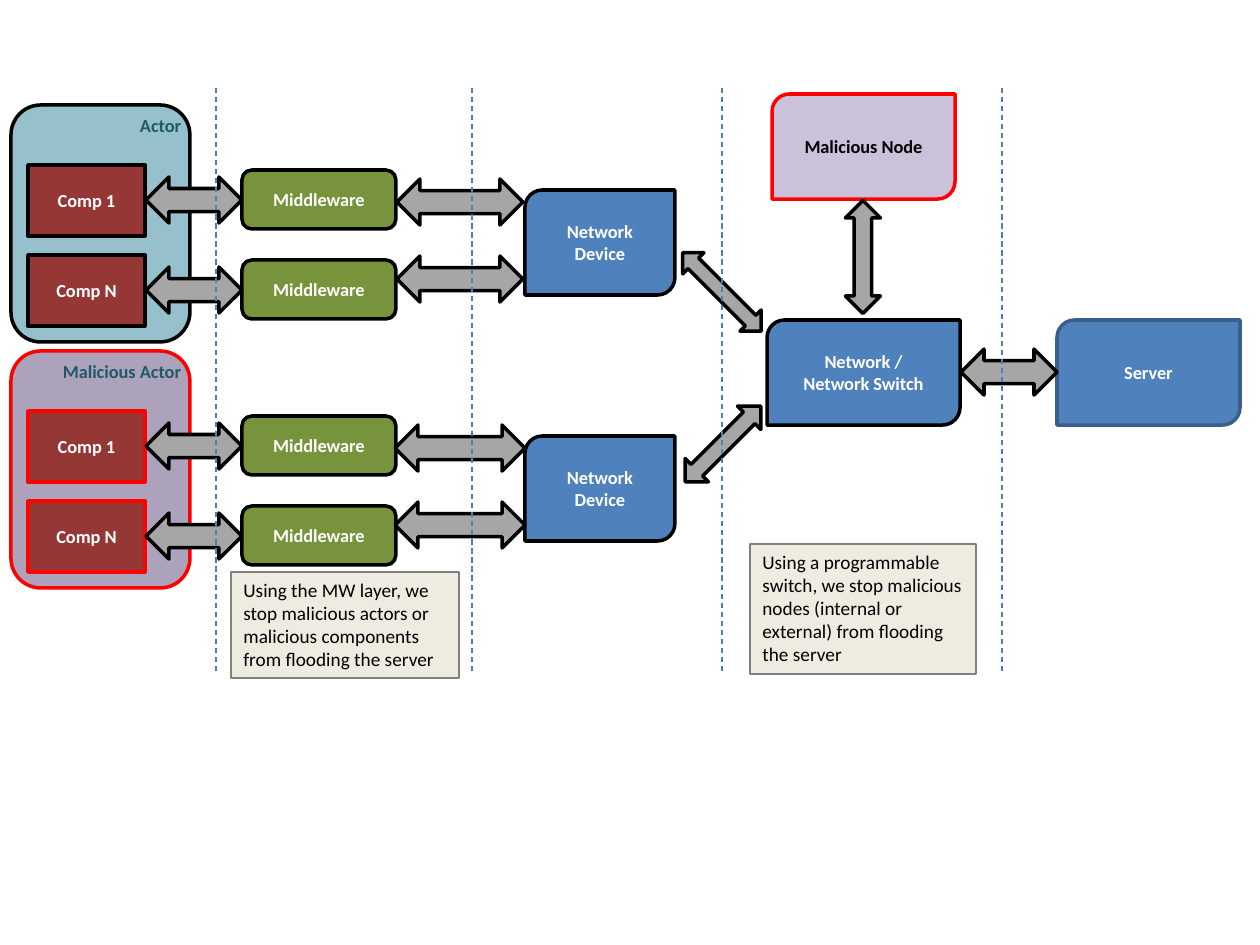
from lxml.etree import SubElement
from pptx import Presentation
from pptx.dml.color import RGBColor
from pptx.enum.dml import MSO_LINE
from pptx.enum.shapes import MSO_CONNECTOR, MSO_SHAPE as SHAPE
from pptx.enum.text import MSO_ANCHOR as ANCHOR, MSO_AUTO_SIZE, PP_ALIGN as ALIGN
from pptx.oxml.ns import qn
from pptx.util import Inches, Pt

PIXEL = Inches(1) / 126
FONT = "Calibri"
BLACK = RGBColor(0x00, 0x00, 0x00)
WHITE = RGBColor(0xFF, 0xFF, 0xFF)
RED = RGBColor(0xFF, 0x00, 0x00)
TEAL = RGBColor(0x31, 0x85, 0x9C)
DARK_TEAL = RGBColor(0x21, 0x59, 0x68)
PURPLE = RGBColor(0x60, 0x4A, 0x7B)
LILAC = RGBColor(0xCC, 0xC1, 0xDA)
GREEN = RGBColor(0x77, 0x93, 0x3C)
MAROON = RGBColor(0x95, 0x37, 0x35)
BLUE = RGBColor(0x4F, 0x81, 0xBD)
DARK_BLUE = RGBColor(0x3A, 0x5F, 0x8C)
DASH_BLUE = RGBColor(0x4B, 0x7E, 0xBC)
GREY = RGBColor(0xA6, 0xA6, 0xA6)
NOTE_FILL = RGBColor(0xEE, 0xEC, 0xE1)
NOTE_LINE = RGBColor(0x80, 0x80, 0x80)

ACTORS = [
    ("Actor", 0, TEAL, BLACK, 126),
    ("Malicious Actor", 246, PURPLE, RED, 130),
]
COMPONENTS = [("Comp 1", 200, 202), ("Comp N", 290, 279)]
NODES = [
    ("Network /\nNetwork Switch", (767, 320, 193, 105), BLUE, BLACK, WHITE),
    ("Server", (1057, 320, 183, 105), BLUE, DARK_BLUE, WHITE),
    ("Malicious Node", (772, 94, 183, 105), LILAC, RED, BLACK),
]
LINKS = [
    (722, 292, 30, 111, 315),
    (723, 444, 33, 107, 225),
    (1009, 372, 46, 96, 270),
    (863, 257, 35, 113, 0),
]
DIVIDERS = [216, 472, 722, 1002]
NOTES = [
    ("Using a programmable switch, we stop malicious nodes (internal or "
     "external) from flooding the server", (750, 544, 226, 130)),
    ("Using the MW layer, we stop malicious actors or malicious components "
     "from flooding the server", (231, 572, 228, 106)),
]

presentation = Presentation()
presentation.slide_width = Inches(10)
presentation.slide_height = Inches(7.5)
slide = presentation.slides.add_slide(presentation.slide_layouts[6])


def emu(*pixels):
    return [round(value * PIXEL) for value in pixels]


def add_box(kind, box, fill, line, line_width=2):
    shape = slide.shapes.add_shape(kind, *emu(*box))
    shape.shadow.inherit = False
    shape.fill.solid()
    shape.fill.fore_color.rgb = fill
    shape.line.color.rgb = line
    shape.line.width = Pt(line_width)
    return shape


def write(shape, text, size=10.5, color=WHITE, bold=True, align=ALIGN.CENTER,
          anchor=ANCHOR.MIDDLE):
    frame = shape.text_frame
    frame.word_wrap = True
    frame.vertical_anchor = anchor
    frame.text = text
    for paragraph in frame.paragraphs:
        paragraph.alignment = align
        font = paragraph.runs[0].font
        font.name, font.size, font.bold = FONT, Pt(size), bold
        font.color.rgb = color


def add_arrow(center_x, center_y, width, length, rotation=270):
    box = (center_x - width / 2, center_y - length / 2, width, length)
    add_box(SHAPE.UP_DOWN_ARROW, box, GREY, BLACK).rotation = rotation


def add_actor(name, offset, fill, line, arrow_length):
    actor = add_box(SHAPE.ROUNDED_RECTANGLE, (11, 105 + offset, 179, 237), fill, line)
    color = actor.fill._xPr.find(qn("a:solidFill"))[0]
    SubElement(color, qn("a:alpha")).set("val", "51000")
    frame = actor.text_frame
    frame.margin_left = frame.margin_right = frame.margin_top = frame.margin_bottom = 0
    write(actor, name, color=DARK_TEAL, align=ALIGN.RIGHT, anchor=ANCHOR.TOP)
    device = add_box(SHAPE.ROUND_2_DIAG_RECTANGLE, (525, 190 + offset, 150, 105), BLUE, BLACK)
    write(device, "Network\nDevice")
    for label, row, device_row in COMPONENTS:
        center = row + offset
        write(add_box(SHAPE.RECTANGLE, (28, center - 35, 117, 71), MAROON, line), label)
        write(add_box(SHAPE.ROUNDED_RECTANGLE, (242, center - 30, 154, 59), GREEN, BLACK),
              "Middleware")
        add_arrow(194, center, 46, 96)
        add_arrow(460, device_row + offset, 46, arrow_length)


for actor_row in ACTORS:
    add_actor(*actor_row)

for label, box, fill, line, color in NODES:
    write(add_box(SHAPE.ROUND_2_DIAG_RECTANGLE, box, fill, line), label, color=color)

for link in LINKS:
    add_arrow(*link)

for x in DIVIDERS:
    divider = slide.shapes.add_connector(MSO_CONNECTOR.STRAIGHT, *emu(x, 88, x, 672))
    divider.line.color.rgb = DASH_BLUE
    divider.line.width = Pt(0.75)
    divider.line.dash_style = MSO_LINE.DASH
    SubElement(divider._element.spPr, qn("a:effectLst"))

for text, box in NOTES:
    note = add_box(SHAPE.RECTANGLE, box, NOTE_FILL, NOTE_LINE, line_width=0.75)
    write(note, text, size=11, color=BLACK, bold=False, align=ALIGN.LEFT, anchor=ANCHOR.TOP)
    note.text_frame.auto_size = MSO_AUTO_SIZE.SHAPE_TO_FIT_TEXT

presentation.save("out.pptx")
